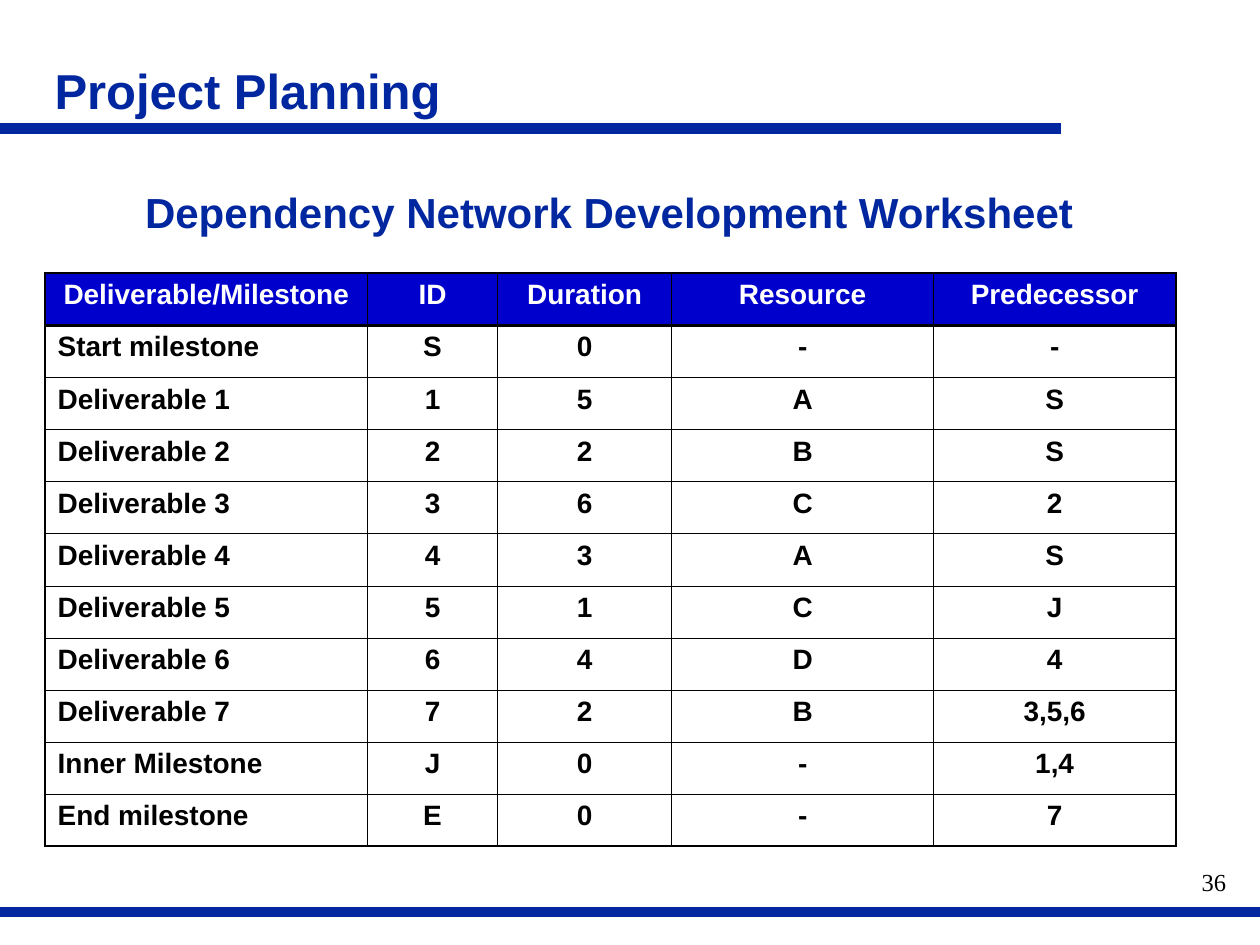
from pptx import Presentation
from pptx.dml.color import RGBColor
from pptx.enum.shapes import MSO_CONNECTOR
from pptx.enum.text import MSO_ANCHOR, PP_ALIGN
from pptx.oxml.ns import qn
from pptx.util import Cm, Pt
from lxml.etree import SubElement

NAVY = RGBColor(0x00, 0x27, 0x9F)
BLUE = RGBColor(0x00, 0x00, 0xCC)
WHITE = RGBColor(0xFF, 0xFF, 0xFF)
BLACK = RGBColor(0x00, 0x00, 0x00)

THIN, EDGE, RULE = 0.45, 1.08, 1.47

WIDTHS = [6.5, 2.62, 3.51, 5.28, 4.88]
ROWS = [
    ["Deliverable/Milestone", "ID", "Duration", "Resource", "Predecessor"],
    ["Start milestone", "S", "0", "-", "-"],
    ["Deliverable 1", "1", "5", "A", "S"],
    ["Deliverable 2", "2", "2", "B", "S"],
    ["Deliverable 3", "3", "6", "C", "2"],
    ["Deliverable 4", "4", "3", "A", "S"],
    ["Deliverable 5", "5", "1", "C", "J"],
    ["Deliverable 6", "6", "4", "D", "4"],
    ["Deliverable 7", "7", "2", "B", "3,5,6"],
    ["Inner Milestone", "J", "0", "-", "1,4"],
    ["End milestone", "E", "0", "-", "7"],
]


class Deck:
    sans, serif = "Arial", "Times New Roman"

    def __init__(self, slide):
        self.slide = slide

    def style(self, para, size, color, align, bold=True, face=sans):
        para.alignment = align
        font = para.font
        font.name, font.size, font.bold = face, Pt(size), bold
        font.color.rgb = color

    def text(self, words, left, top, width, height, size, color, align,
             bold=True, face=sans, anchor=MSO_ANCHOR.MIDDLE, lead=0.85):
        box = self.slide.shapes.add_textbox(
            Cm(left), Cm(top), Cm(width), Cm(height))
        frame = box.text_frame
        frame.word_wrap = True
        frame.vertical_anchor = anchor
        para = frame.paragraphs[0]
        para.text = words
        para.line_spacing = lead
        self.style(para, size, color, align, bold, face)

    def bar(self, left, right, y):
        line = self.slide.shapes.add_connector(
            MSO_CONNECTOR.STRAIGHT, Cm(left), Cm(y), Cm(right), Cm(y))
        line.line.color.rgb = NAVY
        line.line.width = Pt(6)
        SubElement(line._element.spPr, qn("a:effectLst"))

    def border(self, cell, **sides):
        """Draw black borders; sides maps L, R, T, B to points, in that order."""
        props = cell._tc.get_or_add_tcPr()
        for side, width in sides.items():
            edge = SubElement(props, qn(f"a:ln{side}"), w=str(Pt(width)))
            fill = SubElement(edge, qn("a:solidFill"))
            SubElement(fill, qn("a:srgbClr"), val=str(BLACK))

    def table(self, rows, widths, left, top, pitch):
        last, end = len(rows) - 1, len(widths) - 1
        grid = self.slide.shapes.add_table(
            len(rows), len(widths), Cm(left), Cm(top),
            Cm(sum(widths)), Cm(pitch * len(rows))).table
        grid.first_row = grid.horz_banding = False
        for col, width in zip(grid.columns, widths):
            col.width = Cm(width)
        lines = [EDGE, RULE] + [THIN] * (last - 1) + [EDGE]
        for r, row in enumerate(rows):
            grid.rows[r].height = Cm(pitch)
            for c, words in enumerate(row):
                cell = grid.cell(r, c)
                self.border(cell, L=EDGE if c == 0 else THIN,
                            R=EDGE if c == end else THIN,
                            T=lines[r], B=lines[r + 1])
                if r == 0:
                    cell.fill.solid()
                    cell.fill.fore_color.rgb = BLUE
                else:
                    cell.fill.background()
                para = cell.text_frame.paragraphs[0]
                para.text = words
                self.style(para, 16, BLACK if r else WHITE,
                           PP_ALIGN.LEFT if r and c == 0 else PP_ALIGN.CENTER)


def main():
    show = Presentation()
    show.slide_width, show.slide_height = Cm(25.4), Cm(19.05)
    deck = Deck(show.slides.add_slide(show.slide_layouts[6]))

    deck.bar(-0.08, 21.38, 2.59)
    deck.bar(-0.13, 25.5, 18.38)
    deck.text("Project Planning", 0.85, 1.27, 20.32, 1.27,
              28, NAVY, PP_ALIGN.LEFT)
    deck.table(ROWS, WIDTHS, 0.91, 5.51, 1.05)
    deck.text("Dependency Network Development Worksheet",
              2.12, 3.6, 20.32, 1.48, 24, NAVY, PP_ALIGN.CENTER)
    deck.text("36", 19.69, 17.35, 5.28, 1.27, 14, BLACK, PP_ALIGN.RIGHT,
              bold=False, face=Deck.serif, anchor=MSO_ANCHOR.TOP, lead=1.0)
    show.save("out.pptx")


if __name__ == "__main__":
    main()
